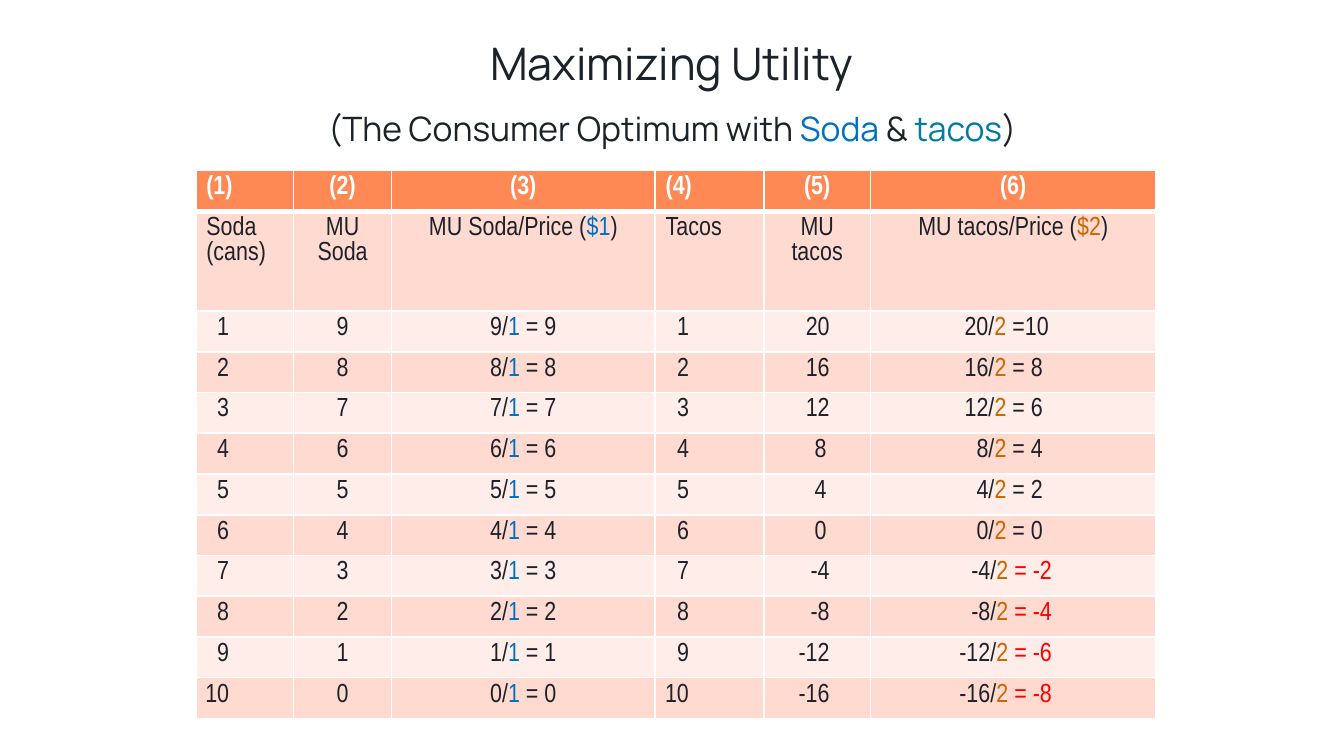
from lxml import etree
from pptx import Presentation
from pptx import util as u
from pptx.dml import color
from pptx.enum import text
from pptx.oxml import ns

DARK, WHITE, RED = "1C2229", "FFFFFF", "FF0000"
BLUE, TEAL, ORANGE = "0070C0", "007CA3", "CC6600"
HEADER_FILL, BAND_FILLS = "FE8954", ("FFDAD1", "FFEDE9")
TITLE_FONT, TABLE_FONT = "Manrope", "Arial Narrow"
LEFT, CENTER, RIGHT = text.PP_ALIGN.LEFT, text.PP_ALIGN.CENTER, text.PP_ALIGN.RIGHT

COLUMN_WIDTHS = (1.85, 1.85, 4.98, 2.06, 2.01, 5.4)
ROW_HEIGHT, LABEL_HEIGHT = 0.77, 1.89
TACO_UTILITIES = (20, 16, 12, 8, 4, 0, -4, -8, -12, -16)
HEADING_ALIGNS = (LEFT, CENTER, CENTER, LEFT, CENTER, CENTER)
VALUE_ALIGNS = (RIGHT, CENTER, CENTER, RIGHT, RIGHT, RIGHT)


def rgb(value):
    """Turn a hex string into a colour."""
    return color.RGBColor.from_string(value)


def apply_format(target, values):
    """Set every attribute named in values on the target."""
    for name, value in values.items():
        setattr(target, name, value)


def write_runs(paragraph, runs, font, size, align, bold=False):
    """Fill a paragraph with (text, colour) runs."""
    paragraph.alignment = align
    for words, hex_color in runs:
        run = paragraph.add_run()
        run.text = words
        apply_format(run.font, {"name": font, "size": u.Pt(size), "bold": bold})
        run.font.color.rgb = rgb(hex_color)


def place(shape, left, top, width, height):
    """Position a shape, in centimetres."""
    apply_format(shape, {"left": u.Cm(left), "top": u.Cm(top),
                         "width": u.Cm(width), "height": u.Cm(height)})


def add_title(slide):
    """Format the title placeholder."""
    title = slide.shapes.title
    place(title, 4.12, 0.35, 17.15, 1.78)
    apply_format(title.text_frame, {
        "vertical_anchor": text.MSO_ANCHOR.MIDDLE,
        "auto_size": text.MSO_AUTO_SIZE.NONE,
        "margin_left": u.Cm(0.2), "margin_right": u.Cm(0.2),
        "margin_top": u.Cm(0.1), "margin_bottom": u.Cm(0.1)})
    paragraph = title.text_frame.paragraphs[0]
    paragraph.line_spacing = 0.9
    write_runs(paragraph, [("Maximizing Utility", DARK)], TITLE_FONT, 24, CENTER)


def add_subtitle(slide):
    """Add the line under the title."""
    box = slide.shapes.add_textbox(u.Cm(4.45), u.Cm(1.91), u.Cm(16.51), u.Cm(1.02))
    box.text_frame.word_wrap = True
    runs = [("(The Consumer Optimum with ", DARK), ("Soda", BLUE),
            (" & ", DARK), ("tacos", TEAL), (")", DARK)]
    write_runs(box.text_frame.paragraphs[0], runs, TITLE_FONT, 18, CENTER)


def add_borders(cell, top=1, bottom=1):
    """Draw white borders round a cell, widths in points."""
    properties = cell._tc.get_or_add_tcPr()
    for side, width in {"L": 1, "R": 1, "T": top, "B": bottom}.items():
        line = etree.SubElement(properties, ns.qn(f"a:ln{side}"), w=str(u.Pt(width)))
        fill = etree.SubElement(line, ns.qn("a:solidFill"))
        etree.SubElement(fill, ns.qn("a:srgbClr"), val=WHITE)


def fill_cell(cell, runs, align, fill, margin=0.2, bold=False, **borders):
    """Format one table cell and write its text."""
    apply_format(cell, {"margin_left": u.Cm(0 if align == RIGHT else 0.2),
                        "margin_right": u.Cm(margin),
                        "margin_top": u.Cm(0.1), "margin_bottom": u.Cm(0.1)})
    add_borders(cell, **borders)
    cell.fill.solid()
    cell.fill.fore_color.rgb = rgb(fill)
    write_runs(cell.text_frame.paragraphs[0], runs, TABLE_FONT, 14, align, bold)


def label_runs():
    """Return the runs of the column labels."""
    return [[("Soda (cans)", DARK)], [("MU Soda", DARK)],
            [("MU Soda/Price (", DARK), ("$1", BLUE), (")", DARK)],
            [("Tacos", DARK)], [("MU tacos", DARK)],
            [("MU tacos/Price (", DARK), ("$2", ORANGE), (")", DARK)]]


def value_runs(count, taco_utility):
    """Return the runs of one row of utilities."""
    soda_utility, ratio = 10 - count, taco_utility // 2
    equals = " =" if ratio > 9 else " = "
    return [[(f"{count}", DARK)], [(f"{soda_utility}", DARK)],
            [(f"{soda_utility}/", DARK), ("1", BLUE), (f" = {soda_utility}", DARK)],
            [(f"{count}", DARK)], [(f"{taco_utility}", DARK)],
            [(f"{taco_utility}/", DARK), ("2", ORANGE),
             (f"{equals}{ratio}", RED if ratio < 0 else DARK)]]


def value_margins(taco_utility):
    """Return the right margins that line up the figures of one row."""
    utility_margin = 0.83 if 0 <= taco_utility < 10 else 0.77
    ratio_margin = 1.97 if taco_utility < 0 else 2.03 if taco_utility > 19 else 2.14
    return 1.22, 0.2, 0.2, 1.42, utility_margin, ratio_margin


def add_utility_table(slide):
    """Add the table of marginal utilities."""
    row_count = len(TACO_UTILITIES) + 2
    frame = slide.shapes.add_table(
        row_count, len(COLUMN_WIDTHS), u.Cm(3.7), u.Cm(3.22),
        u.Cm(sum(COLUMN_WIDTHS)), u.Cm(ROW_HEIGHT * (row_count - 1) + LABEL_HEIGHT))
    table = frame.table
    for column, width in zip(table.columns, COLUMN_WIDTHS):
        column.width = u.Cm(width)
    for index, row in enumerate(table.rows):
        row.height = u.Cm(LABEL_HEIGHT if index == 1 else ROW_HEIGHT)
    for index, (runs, align) in enumerate(zip(label_runs(), HEADING_ALIGNS)):
        fill_cell(table.cell(0, index), [(f"({index + 1})", WHITE)], align,
                  HEADER_FILL, bold=True, bottom=3)
        fill_cell(table.cell(1, index), runs, align, BAND_FILLS[0], top=3)
    for count, utility in enumerate(TACO_UTILITIES, 1):
        cells = zip(value_runs(count, utility), VALUE_ALIGNS, value_margins(utility))
        for index, (runs, align, margin) in enumerate(cells):
            fill_cell(table.cell(count + 1, index), runs, align,
                      BAND_FILLS[count % 2], margin)


def main():
    """Build and save the slide."""
    presentation = Presentation()
    apply_format(presentation, {"slide_width": u.Cm(25.4), "slide_height": u.Cm(14.29)})
    slide = presentation.slides.add_slide(presentation.slide_layouts[5])
    add_title(slide)
    add_utility_table(slide)
    add_subtitle(slide)
    presentation.save("out.pptx")


if __name__ == "__main__":
    main()
